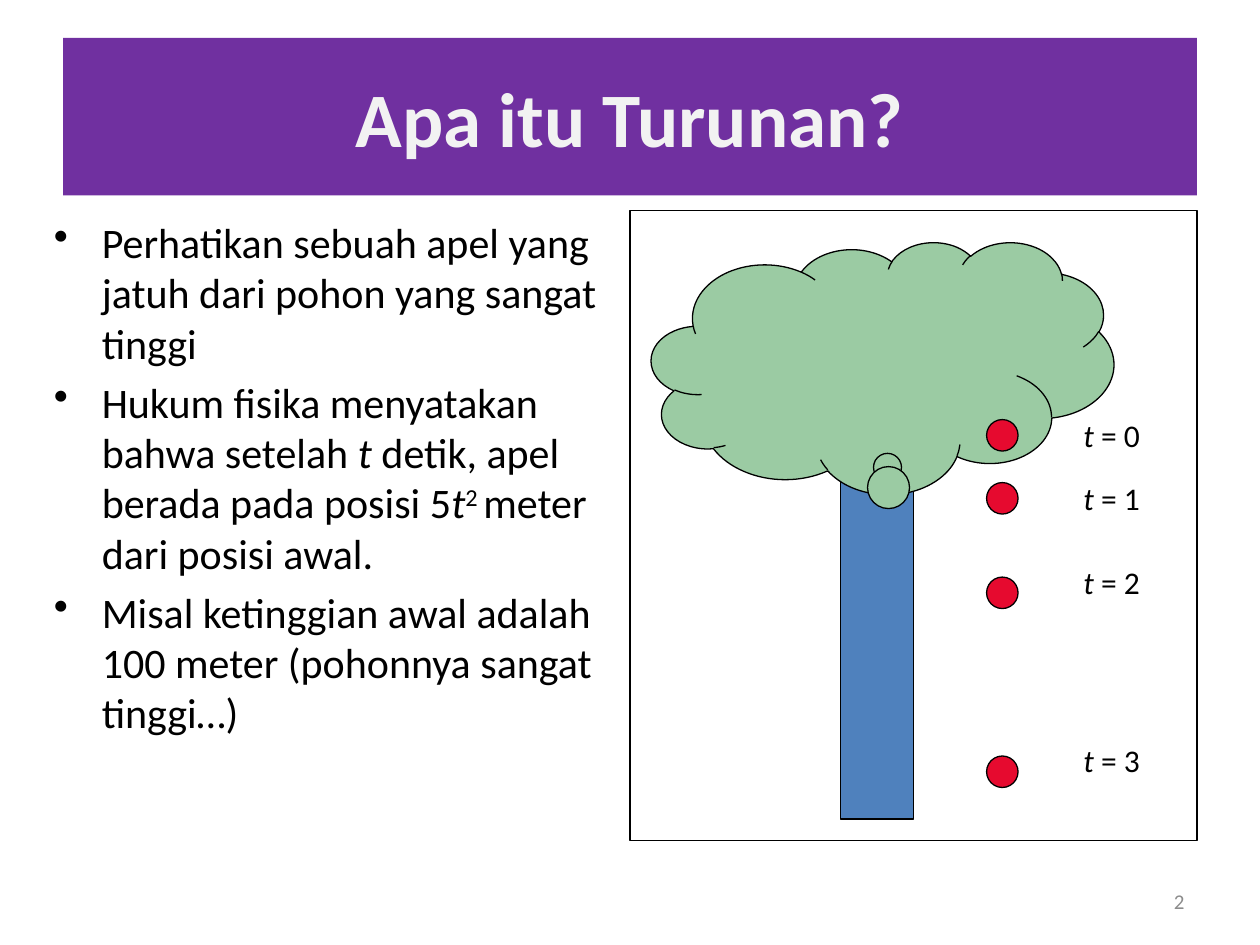
import pptx
import pptx.util
import pptx.dml.color
import pptx.enum.shapes
import pptx.enum.text
import lxml.etree
from pptx.util import Inches

RGBColor = pptx.dml.color.RGBColor
SHAPE = pptx.enum.shapes.MSO_SHAPE
ALIGN = pptx.enum.text.PP_ALIGN
ANCHOR = pptx.enum.text.MSO_ANCHOR

BLACK = RGBColor(0x00, 0x00, 0x00)
WHITE = RGBColor(0xFF, 0xFF, 0xFF)
PURPLE = RGBColor(0x70, 0x30, 0xA0)
TITLE_GRAY = RGBColor(0xF2, 0xF2, 0xF2)
NUMBER_GRAY = RGBColor(0x8C, 0x8C, 0x8C)
TRUNK_BLUE = RGBColor(0x4F, 0x81, 0xBD)
LEAF_GREEN = RGBColor(0x9B, 0xCB, 0xA3)
APPLE_RED = RGBColor(0xE6, 0x0A, 0x2F)


class SlideBuilder:
    """Holds the style and the current slide, and draws each kind of element."""

    font_name = "Calibri"
    line_width = pptx.util.Pt(0.75)

    def __init__(self, presentation):
        self.slide = presentation.slides.add_slide(presentation.slide_layouts[5])

    def style(self, paragraph, size, color, bold=None):
        font = paragraph.font
        font.name, font.size, font.bold = self.font_name, pptx.util.Pt(size), bold
        font.color.rgb = color

    def add_runs(self, paragraph, runs):
        for text, kind in runs:
            run = paragraph.add_run()
            run.text = text
            if kind == "italic":
                run.font.italic = True
            elif kind == "super":
                run.font._element.set("baseline", "30000")

    def title(self, text, box):
        shape = self.slide.shapes.title
        shape.left, shape.top, shape.width, shape.height = map(Inches, box)
        shape.fill.solid()
        shape.fill.fore_color.rgb = PURPLE
        frame = shape.text_frame
        frame.text = text
        frame.vertical_anchor = ANCHOR.MIDDLE
        paragraph = frame.paragraphs[0]
        paragraph.alignment = ALIGN.CENTER
        self.style(paragraph, 44, TITLE_GRAY, bold=True)

    def shape(self, kind, box, fill, parent=None):
        shape = (parent or self.slide).shapes.add_shape(kind, *map(Inches, box))
        shape.shadow.inherit = False
        shape.fill.solid()
        shape.fill.fore_color.rgb = fill
        shape.line.color.rgb = BLACK
        shape.line.width = self.line_width
        return shape

    def text(self, runs, box, size, color=BLACK, align=ALIGN.LEFT,
             anchor=ANCHOR.TOP, parent=None):
        frame = (parent or self.slide).shapes.add_textbox(*map(Inches, box)).text_frame
        frame.word_wrap = True
        frame.vertical_anchor = anchor
        paragraph = frame.paragraphs[0]
        paragraph.alignment = align
        self.style(paragraph, size, color)
        self.add_runs(paragraph, runs)

    def bullets(self, items, box, size):
        frame = self.slide.shapes.add_textbox(*map(Inches, box)).text_frame
        frame.word_wrap = True
        for index, runs in enumerate(items):
            paragraph = frame.add_paragraph() if index else frame.paragraphs[0]
            self.style(paragraph, size, BLACK)
            paragraph.space_before = pptx.util.Pt(size * 0.2)
            properties = paragraph._p.get_or_add_pPr()
            properties.set("marL", str(Inches(0.38)))
            properties.set("indent", str(-Inches(0.38)))
            bullet = lxml.etree.Element(pptx.oxml.ns.qn("a:buChar"), char="•")
            properties.find(pptx.oxml.ns.qn("a:defRPr")).addprevious(bullet)
            self.add_runs(paragraph, runs)

    def apple(self, time, apple_top, label_top):
        group = self.slide.shapes.add_group_shape()
        self.shape(SHAPE.OVAL, (7.83, apple_top, 0.25, 0.25), APPLE_RED, group)
        self.text([("t", "italic"), (f" = {time}", None)],
                  (8.5, label_top, 1.17, 0.4), 18, parent=group)


BULLETS = [
    [("Perhatikan sebuah apel yang jatuh dari pohon yang sangat tinggi", None)],
    [("Hukum fisika menyatakan bahwa setelah ", None), ("t", "italic"),
     (" detik, apel berada pada posisi 5", None), ("t", "italic"),
     ("2 ", "super"), ("meter dari posisi awal.", None)],
    [("Misal ketinggian awal adalah 100 meter (pohonnya sangat tinggi…)", None)],
]
APPLE_TOPS = [(3.33, 3.25), (3.83, 3.75), (4.58, 4.42), (6, 5.83)]

presentation = pptx.Presentation()
presentation.slide_width, presentation.slide_height = Inches(10), Inches(7.5)

builder = SlideBuilder(presentation)
builder.title("Apa itu Turunan?", (0.5, 0.3, 9, 1.25))
builder.bullets(BULLETS, (0.33, 1.67, 4.67, 5), 24)
builder.shape(SHAPE.RECTANGLE, (5, 1.67, 4.5, 5), WHITE)
builder.shape(SHAPE.RECTANGLE, (6.67, 3.67, 0.58, 2.83), TRUNK_BLUE)
crown = builder.shape(SHAPE.CLOUD_CALLOUT, (5.17, 1.92, 3.67, 2), LEAF_GREEN)
crown.adjustments[0], crown.adjustments[1] = 0.01, 0.37
for time, (apple_top, label_top) in enumerate(APPLE_TOPS):
    builder.apple(time, apple_top, label_top)
builder.text([("2", None)], (7.17, 6.95, 2.33, 0.4), 12, NUMBER_GRAY,
             ALIGN.RIGHT, ANCHOR.MIDDLE)

presentation.save("out.pptx")
